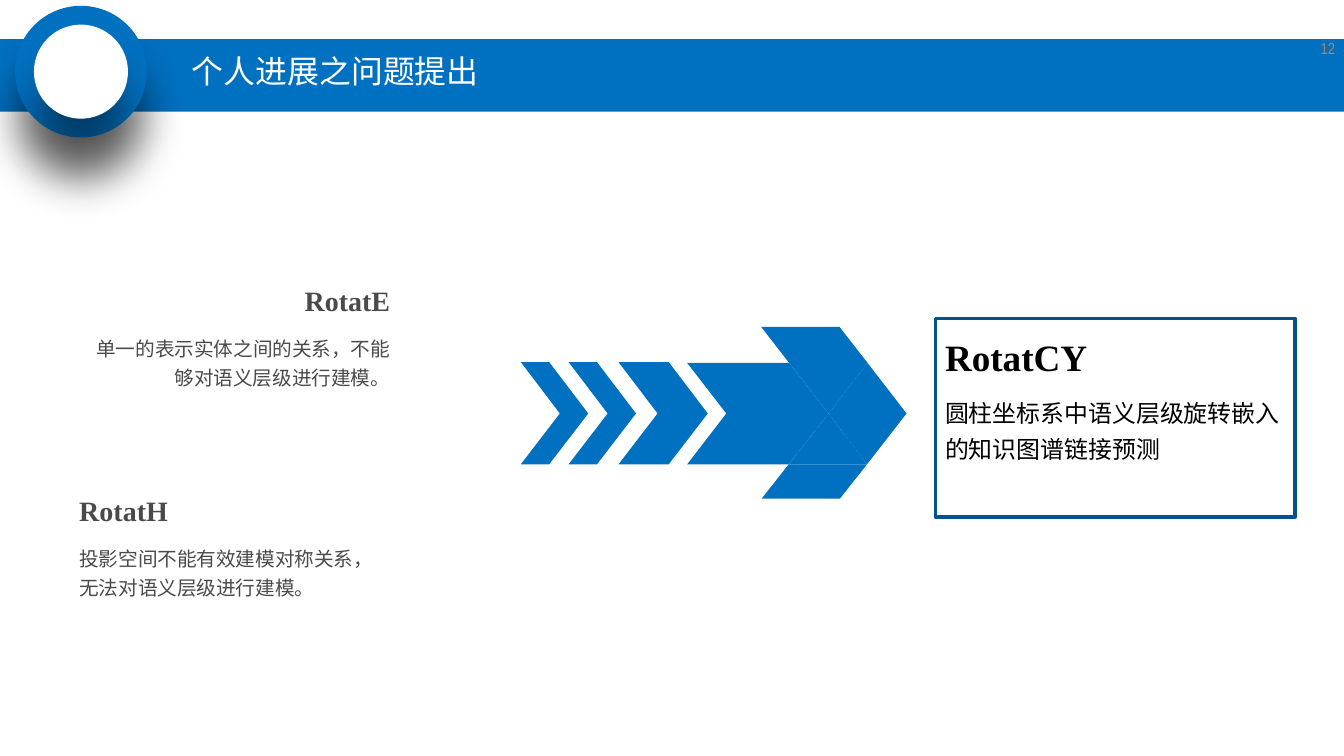
from lxml.etree import SubElement
from pptx import Presentation
from pptx.dml.color import RGBColor
from pptx.enum.shapes import MSO_SHAPE
from pptx.enum.text import MSO_ANCHOR, PP_ALIGN
from pptx.oxml.ns import qn
from pptx.util import Pt

BLUE, WHITE, GREY, BLACK = "0070C0", "FFFFFF", "4A4A4A", "000000"


def paint(target, color):
    """Give a fill, or a font's colour, one solid colour."""
    if hasattr(target, "solid"):
        target.solid()
        target = target.fore_color
    target.rgb = RGBColor.from_string(color)


def write(shape, lines, anchor=MSO_ANCHOR.TOP):
    """Fill a shape with (text, colour, font format, paragraph format) lines."""
    frame = shape.text_frame
    frame.word_wrap = True
    frame.vertical_anchor = anchor
    for i, (text, color, font, layout) in enumerate(lines):
        para = frame.paragraphs[0] if i == 0 else frame.add_paragraph()
        run = para.add_run()
        run.text = text
        paint(run.font.color, color)
        for item, values in ((run.font, font), (para, layout)):
            for name, value in values.items():
                setattr(item, name, value)


deck = Presentation()
deck.slide_width, deck.slide_height = Pt(1012.5), Pt(569.5)
slide = deck.slides.add_slide(deck.slide_layouts[6])
shapes = slide.shapes

# Title band with its round badge
bar = shapes.add_shape(MSO_SHAPE.RECTANGLE, 0, Pt(29.6), deck.slide_width, Pt(54.6))
bar.shadow.inherit = False
paint(bar.fill, BLUE)
bar.line.fill.background()

for left, top, size, color in ((11.4, 4.4, 99.2, BLUE), (25.6, 18.6, 70.8, WHITE)):
    disc = shapes.add_shape(MSO_SHAPE.OVAL, Pt(left), Pt(top), Pt(size), Pt(size))
    disc.shadow.inherit = False
    paint(disc.fill, color)
    disc.line.fill.background()
    effects = disc._element.spPr.find(qn("a:effectLst"))
    shade = SubElement(effects, qn("a:outerShdw"), blurRad=str(Pt(33)),
                       dist=str(Pt(33)), dir="5400000", algn="t", rotWithShape="0")
    tone = SubElement(shade, qn("a:srgbClr"), val=BLACK)
    SubElement(tone, qn("a:alpha"), val="43000")

title = shapes.add_textbox(Pt(137.5), Pt(35.3), Pt(249.8), Pt(39.6))
write(title, [("个人进展之问题提出", WHITE,
               {"name": "Arial Narrow", "size": Pt(24)},
               {"line_spacing": 0.9, "space_before": Pt(10)})], MSO_ANCHOR.MIDDLE)
number = shapes.add_textbox(Pt(963.4), Pt(20.9), Pt(49.4), Pt(30.2))
write(number, [("12", "8C8C8C", {"name": "Arial Narrow", "size": Pt(12)},
                {"alignment": PP_ALIGN.RIGHT})], MSO_ANCHOR.MIDDLE)

# Two earlier models on the left, the proposed one framed on the right
box = shapes.add_shape(MSO_SHAPE.RECTANGLE, Pt(704.9), Pt(239.8), Pt(270.7), Pt(149.8))
box.shadow.inherit = False
box.fill.background()
paint(box.line.fill, "00538E")
box.line.width = Pt(2.75)
box.text_frame.margin_top = Pt(26.6)

lower = shapes.add_textbox(Pt(52.6), Pt(375.1), Pt(248.4), Pt(79.9))
upper = shapes.add_textbox(Pt(52.6), Pt(216.7), Pt(248.4), Pt(79.9))
models = (
    (lower, "RotatH", "投影空间不能有效建模对称关系，无法对语义层级进行建模。",
     GREY, 21.1, 14.8, PP_ALIGN.LEFT),
    (box, "RotatCY", "圆柱坐标系中语义层级旋转嵌入的知识图谱链接预测",
     BLACK, 28, 18, PP_ALIGN.LEFT),
    (upper, "RotatE", "单一的表示实体之间的关系，不能够对语义层级进行建模。",
     GREY, 21.1, 14.8, PP_ALIGN.RIGHT),
)
for shape, name, note, color, big, small, align in models:
    write(shape, [
        (name, color, {"name": "Times New Roman", "size": Pt(big), "bold": True},
         {"alignment": align, "line_spacing": Pt(18.8), "space_before": Pt(4.2)}),
        (note, color, {"name": "Arial Narrow", "size": Pt(small), "bold": False},
         {"alignment": align, "line_spacing": 1.25, "space_before": Pt(10)}),
    ])

# Arrow: shaft, wings and head meet at the hub; three chevrons trail behind
high, mid, low = 273.4, 311.5, 349.8
hub, tip = (624.2, mid), (683, mid)
neck_up, neck_low = (594.5, high), (594.2, low)
edge_up, edge_low = (653.6, high), (653.2, low)
pieces = [
    [(517.7, high), neck_up, hub, neck_low, (517.7, low), (547.2, mid)],
    [(573.4, 246.2), (632.4, 246.2), edge_up, neck_up],
    [neck_up, edge_up, hub],
    [neck_low, edge_low, (632.8, 375.6), (573.9, 375.6)],
    [hub, edge_low, neck_low],
    [edge_up, tip, edge_low, hub],
]
for left, thick in ((466, 37.8), (428.4, 21.4), (392.4, 21.4)):
    right = left + thick
    pieces.append([(left, 272.8), (right, 272.8), (right + 29.4, mid),
                   (right, low), (left, low), (left + 29.4, mid)])

arrow = shapes.add_group_shape()
for piece in pieces:
    points = [(Pt(x), Pt(y)) for x, y in piece]
    pen = arrow.shapes.build_freeform(*points[0])
    pen.add_line_segments(points[1:], close=True)
    part = pen.convert_to_shape()
    part.shadow.inherit = False
    paint(part.fill, BLUE)
    part.line.fill.background()

deck.save("out.pptx")
